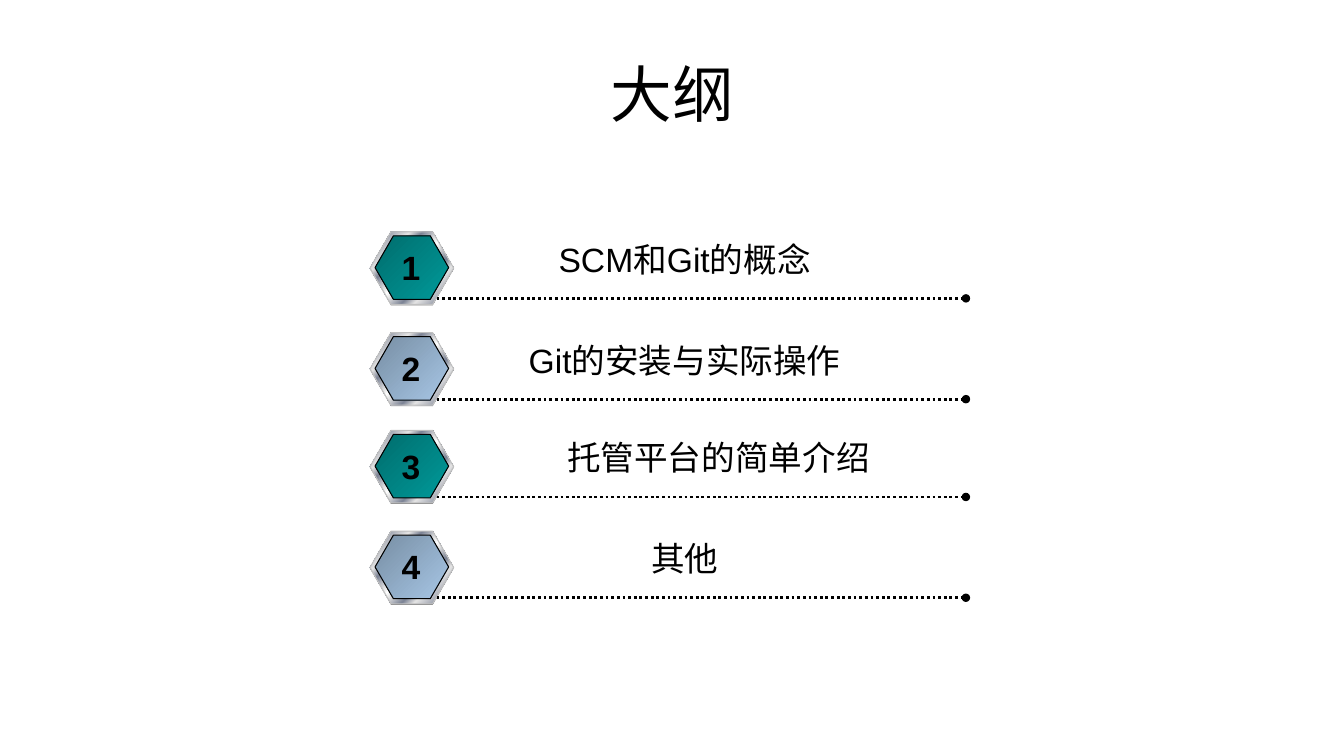
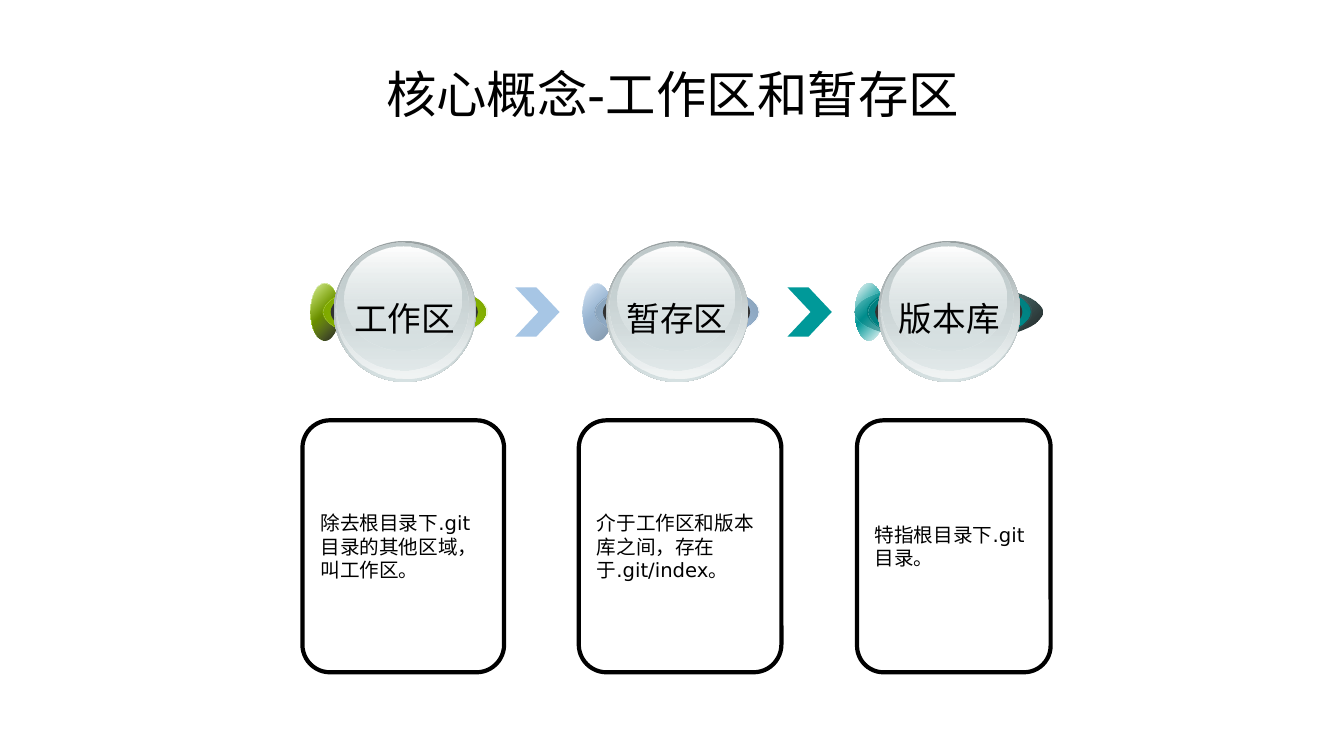
from lxml.etree import SubElement
from pptx import Presentation
from pptx.dml.color import RGBColor
from pptx.enum.dml import MSO_LINE
from pptx.enum.shapes import MSO_CONNECTOR, MSO_SHAPE as Form
from pptx.enum.text import MSO_ANCHOR as Anchor, PP_ALIGN as Align
from pptx.oxml.ns import qn
from pptx.util import Inches, Pt

BLACK = RGBColor(0x00, 0x00, 0x00)
WHITE = RGBColor(0xFF, 0xFF, 0xFF)
CHARCOAL = RGBColor(0x33, 0x33, 0x33)
GRAY = RGBColor(0x80, 0x80, 0x80)
SILVER = RGBColor(0xC0, 0xC0, 0xC0)
CHROME = RGBColor(0xE6, 0xE6, 0xE6)
STEEL = RGBColor(0x7D, 0x84, 0x96)
TEAL = RGBColor(0x00, 0x99, 0x99)
TEAL_DEEP = RGBColor(0x00, 0x6D, 0x6D)
TEAL_RING = RGBColor(0x00, 0x75, 0x75)
TEAL_GLOW = RGBColor(0x00, 0x7E, 0x7E)
LIME = RGBColor(0x99, 0xCC, 0x00)
LIME_RING = RGBColor(0x75, 0x9C, 0x00)
LIME_GLOW = RGBColor(0x7E, 0xA7, 0x00)
SKY = RGBColor(0xA7, 0xC6, 0xE5)
SKY_DEEP = RGBColor(0x77, 0x8E, 0xA4)
SKY_RING = RGBColor(0x80, 0x98, 0xAF)
SKY_GLOW = RGBColor(0x89, 0xA3, 0xBC)
GLASS = RGBColor(0xD6, 0xE1, 0xE2)
GLASS_DARK = RGBColor(0x99, 0xA1, 0xA2)
GLASS_MID = RGBColor(0xC1, 0xCB, 0xCC)
GLASS_LIGHT = RGBColor(0xF2, 0xF5, 0xF5)

HEADING_FONT = "DejaVu Sans"
LABEL_FONT = "Arial"
METAL = [(0, CHROME), (7, STEEL), (26, CHROME), (34, STEEL), (46, CHROME), (50, WHITE),
         (54, CHROME), (66, STEEL), (74, CHROME), (93, STEEL), (100, CHROME)]


def add_form(slide, form, box, fill=None, angle=45, line=None, width=0.75, adjust=None):
    shape = slide.shapes.add_shape(form, *map(Inches, box))
    shape.shadow.inherit = False
    if adjust is not None:
        shape.adjustments[0] = adjust
    if fill is None:
        shape.fill.background()
    elif isinstance(fill, list):
        shape.fill.gradient()
        shape.fill.gradient_angle = 360 - angle
        stops = shape._element.spPr.find(".//" + qn("a:gsLst"))
        stops.clear()
        for position, color, *opacity in fill:
            stop = SubElement(stops, qn("a:gs"), pos=str(position * 1000))
            tint = SubElement(stop, qn("a:srgbClr"), val=str(color))
            for percent in opacity:
                SubElement(tint, qn("a:alpha"), val=str(percent * 1000))
    else:
        shape.fill.solid()
        shape.fill.fore_color.rgb = fill
    if line is None:
        shape.line.fill.background()
    else:
        shape.line.color.rgb = line
        shape.line.width = Pt(width)
    return shape


def write(shape, text, size, font, align=Align.CENTER, anchor=Anchor.TOP, bold=False, wrap=True):
    frame = shape.text_frame
    frame.word_wrap = wrap
    frame.vertical_anchor = anchor
    paragraph = frame.paragraphs[0]
    paragraph.alignment = align
    run = paragraph.add_run()
    run.text = text
    run.font.size = Pt(size)
    run.font.name = font
    run.font.bold = bold
    run.font.color.rgb = BLACK


deck = Presentation()
deck.slide_width, deck.slide_height = Inches(13.33), Inches(7.5)
slides = []
for heading, size in [("大纲", 44), ("核心概念-工作区和暂存区", 36)]:
    slide = deck.slides.add_slide(deck.slide_layouts[6])
    title = slide.shapes.add_textbox(Inches(0.67), Inches(0.3), Inches(12), Inches(1.25))
    write(title, heading, size, HEADING_FONT, anchor=Anchor.MIDDLE)
    slides.append(slide)
outline, concepts = slides

topics = [
    ("SCM和Git的概念", 2.3, 4.08, TEAL_DEEP, TEAL),
    ("Git的安装与实际操作", 3.3, 4.08, SKY_DEEP, SKY),
    ("托管平台的简单介绍", 4.27, 4.75, TEAL_DEEP, TEAL),
    ("其他", 5.27, 4.08, SKY_DEEP, SKY),
]
for number, (topic, top, topic_width, dark, light) in enumerate(topics, 1):
    add_form(outline, Form.HEXAGON, (3.67, top + 0.01, 0.83, 0.72), GRAY, adjust=0.289)
    add_form(outline, Form.HEXAGON, (3.67, top, 0.83, 0.72), METAL, line=SILVER, adjust=0.289)
    add_form(outline, Form.HEXAGON, (3.72, top + 0.04, 0.73, 0.63),
             [(0, dark), (100, light)], line=BLACK, adjust=0.289)

    rule_top = Inches(top + 0.66)
    rule = outline.shapes.add_connector(MSO_CONNECTOR.STRAIGHT, Inches(4.33), rule_top,
                                        Inches(9.58), rule_top)
    rule.line.color.rgb = BLACK
    rule.line.width = Pt(2)
    rule.line.dash_style = MSO_LINE.ROUND_DOT
    SubElement(rule.line._get_or_add_ln(), qn("a:tailEnd"), type="oval")
    SubElement(rule._element.spPr, qn("a:effectLst"))

    label = outline.shapes.add_textbox(Inches(4.75), Inches(top + 0.02), Inches(topic_width), Inches(0.5))
    write(label, topic, 24, LABEL_FONT)
    badge = outline.shapes.add_textbox(Inches(3.88), Inches(top + 0.1), Inches(0.39), Inches(0.5))
    write(badge, str(number), 24, LABEL_FONT, bold=True, wrap=False)

cards = [
    (3, 2, "除去根目录下.git目录的其他区域，叫工作区。"),
    (5.74, 2.01, "介于工作区和版本库之间，存在于.git/index。"),
    (8.5, 1.92, "特指根目录下.git目录。"),
]
for left, width, description in cards:
    card = add_form(concepts, Form.ROUNDED_RECTANGLE, (left, 4.17, width, 2.5),
                    line=BLACK, width=3, adjust=0.137)
    write(card, description, 14, HEADING_FONT, Align.LEFT, Anchor.MIDDLE)

for left, color in [(5.11, SKY), (7.81, TEAL)]:
    add_form(concepts, Form.CHEVRON, (left, 2.85, 0.44, 0.49), color, adjust=0.525)

glass_layers = [
    (0.23, 2.39, 1.41, 1.4, [(0, GLASS_DARK), (100, GLASS)]),
    (0.25, 2.4, 1.38, 1.36, [(0, GLASS, 0), (100, GLASS_LIGHT)]),
    (0.26, 2.41, 1.31, 1.27, [(0, GLASS_MID), (100, GLASS, 48)]),
    (0.34, 2.45, 1.16, 1.03, [(0, WHITE), (100, GLASS, 38)]),
]
areas = [
    ("工作区", LIME, LIME_RING, LIME_GLOW, 0.28, (100, BLACK, 90)),
    ("暂存区", SKY, SKY_RING, SKY_GLOW, 0.28, (100, SKY_DEEP)),
    ("版本库", TEAL, TEAL_RING, TEAL_GLOW, 1.86, (100, BLACK, 90)),
]
for index, (area, color, ring, glow, shade_width, shade_end) in enumerate(areas):
    left = 3.08 + 2.7 * index
    disc_layers = [
        (0, 0.28, [(0, WHITE), (50, color), (100, WHITE)], 45),
        (0, shade_width, [(0, color, 32), shade_end], 45),
        (0.12, 1.62, [(0, ring), (50, color), (100, ring)], 315),
        (0.13, 1.62, [(0, glow), (100, color, 0)], 45),
        (0.2, 1.46, CHARCOAL, 0),
    ]
    for offset, width, fill, angle in disc_layers:
        add_form(concepts, Form.OVAL, (left + offset, 2.81, width, 0.57), fill, angle)
    for offset, top, width, height, fill in glass_layers:
        add_form(concepts, Form.OVAL, (left + offset, top, width, height), fill, 90)
    label = concepts.shapes.add_textbox(Inches(left + 0.33), Inches(2.91), Inches(1.21), Inches(0.51))
    write(label, area, 24, LABEL_FONT, wrap=False)

deck.save("out.pptx")
